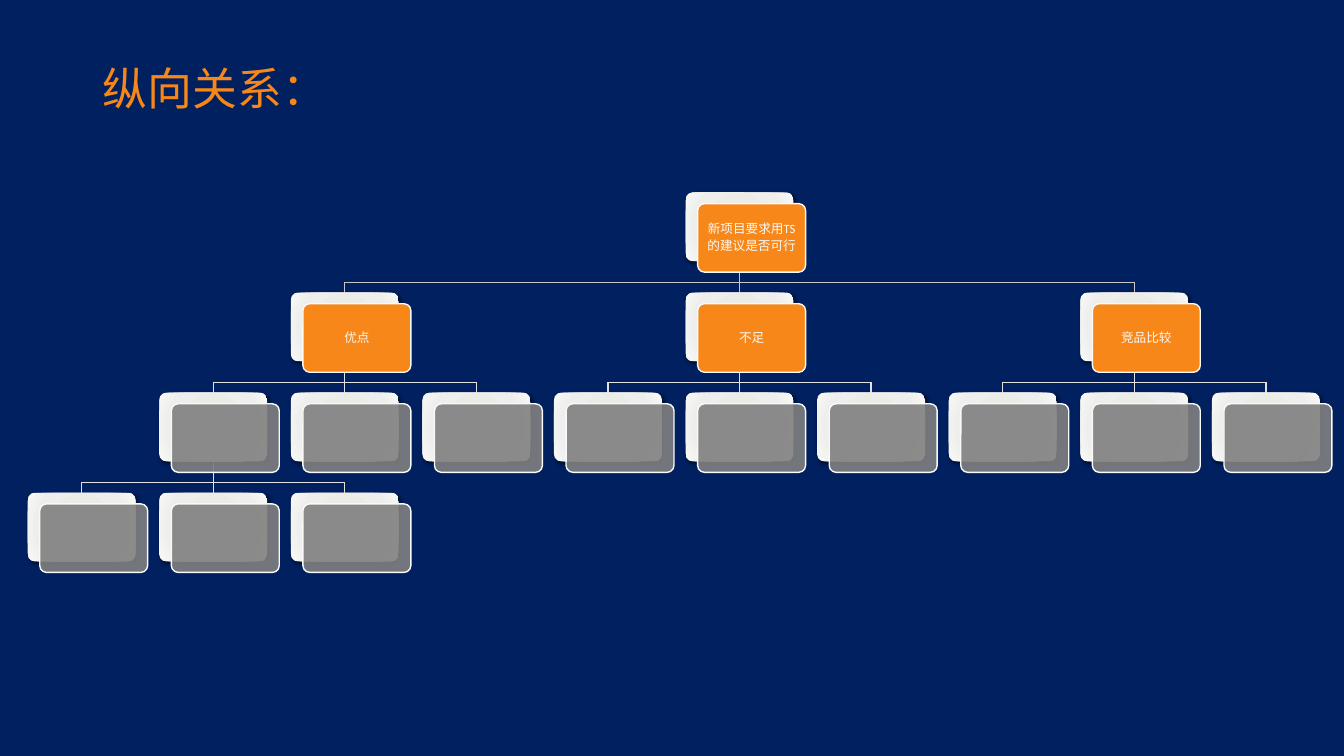
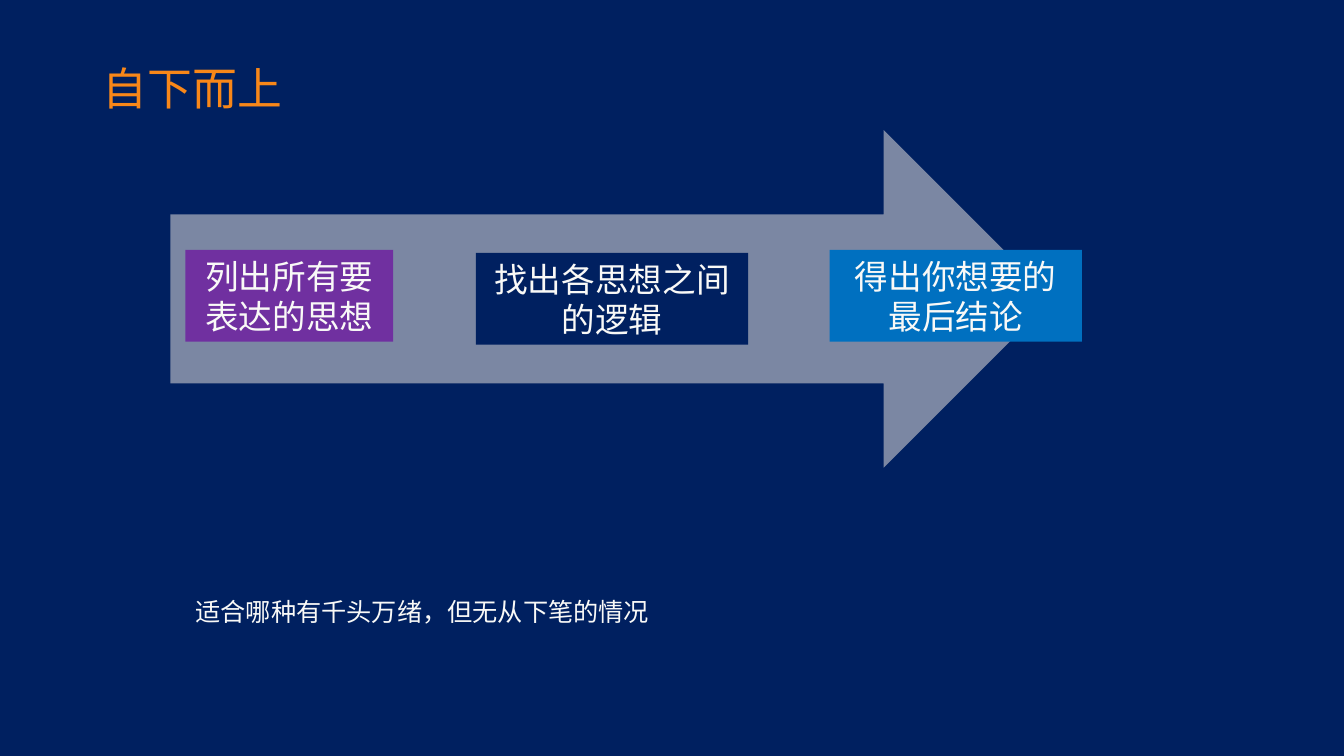
import pptx
import pptx.dml.color
import pptx.enum.shapes
import pptx.enum.text
import pptx.oxml
import pptx.oxml.ns
import pptx.util
from lxml import etree

Inches = pptx.util.Inches
Pt = pptx.util.Pt
Shapes = pptx.enum.shapes.MSO_SHAPE
Align = pptx.enum.text.PP_ALIGN
Anchor = pptx.enum.text.MSO_ANCHOR
qn = pptx.oxml.ns.qn

FONT = "Calibri"
NAVY = "002060"
ORANGE = "F88719"
LIGHT = "F9F9F7"
GREY = "808080"
TOP_LINE = "C7C7C6"
LOWER_LINE = "E2E2E0"

CARD_WIDTH, CARD_HEIGHT = 1.07, 0.68
FIRST_CENTRE, COLUMN_PITCH = 0.81, 1.305
FIRST_TOP, ROW_PITCH = 1.91, 0.993
FRONT_SHIFT_X, FRONT_SHIFT_Y = 0.12, 0.11
BUS_DROP = 0.21

TREE = (4.99, 0)
BACK_STOPS = [(0, "E8E8E6"), (34, "EBEBE8"), (70, "EEEEEC"), (100, LIGHT)]

CARDS = [
    (0, 5, ["新项目要求用TS", "的建议是否可行"]),
    (1, 2, ["优点"]),
    (1, 5, ["不足"]),
    (1, 8, ["竞品比较"]),
    *[(2, column, []) for column in range(1, 10)],
    *[(3, column, []) for column in range(3)],
]
BRANCHES = [
    (0, 5, 3, TOP_LINE),
    (1, 2, 1, LOWER_LINE),
    (1, 5, 1, LOWER_LINE),
    (1, 8, 1, LOWER_LINE),
    (2, 1, 1, LOWER_LINE),
]
STEPS = [
    ("列出所有要表达的思想", 1.84, 2.48, 2.06, "7030A0"),
    ("找出各思想之间的逻辑", 4.72, 2.51, 2.7, NAVY),
    ("得出你想要的最后结论", 8.23, 2.48, 2.5, "0070C0"),
]


def colour(value):
    return pptx.dml.color.RGBColor.from_string(value)


def style(paragraph, size, value, align=Align.LEFT):
    paragraph.font.name = FONT
    paragraph.font.size = Pt(size)
    paragraph.font.color.rgb = colour(value)
    paragraph.alignment = align


def prepare_layout(deck):
    layout = deck.slide_layouts.get_by_name("Title Only")
    layout.background.fill.solid()
    layout.background.fill.fore_color.rgb = colour(NAVY)
    heading = layout.placeholders[0]
    heading.left, heading.top = Inches(0.92), Inches(0.55)
    heading.width, heading.height = Inches(11.5), Inches(0.64)
    return layout


def add_titled_slide(deck, layout, title):
    slide = deck.slides.add_slide(layout)
    slide.shapes.title.text = title
    style(slide.shapes.title.text_frame.paragraphs[0], 32, ORANGE)
    return slide


def add_filled(slide, kind, left, top, width, height, fill, opacity=100):
    shape = slide.shapes.add_shape(
        kind, Inches(left), Inches(top), Inches(width), Inches(height))
    shape.shadow.inherit = False
    shape.line.fill.background()
    shape.fill.solid()
    shape.fill.fore_color.rgb = colour(fill)
    if opacity < 100:
        tint = shape.element.spPr.find(qn("a:solidFill"))[0]
        etree.SubElement(tint, qn("a:alpha"), val=str(opacity * 1000))
    return shape


def add_rounded(slide, left, top, fill, opacity=100):
    shape = add_filled(slide, Shapes.ROUNDED_RECTANGLE, left, top,
                       CARD_WIDTH, CARD_HEIGHT, fill, opacity)
    shape.adjustments[0] = 0.1
    return shape


def add_glow_and_shadow(shape):
    properties = shape.element.spPr
    stops = "".join(
        f'<a:gs pos="{position * 1000}"><a:srgbClr val="{value}"/></a:gs>'
        for position, value in BACK_STOPS)
    gradient = pptx.oxml.parse_xml(
        f'<a:gradFill {pptx.oxml.ns.nsdecls("a")}><a:gsLst>{stops}</a:gsLst>'
        '<a:path path="circle"><a:fillToRect l="100000" t="100000" '
        'r="100000" b="100000"/></a:path></a:gradFill>')
    properties.replace(properties.find(qn("a:solidFill")), gradient)
    shadow = etree.SubElement(
        properties.find(qn("a:effectLst")), qn("a:outerShdw"),
        blurRad=str(Pt(3)), dist=str(Pt(2)), dir=str(45 * 60000))
    black = etree.SubElement(shadow, qn("a:srgbClr"), val="000000")
    etree.SubElement(black, qn("a:alpha"), val="60000")


def add_line(slide, x1, y1, x2, y2, value):
    line = slide.shapes.add_connector(
        pptx.enum.shapes.MSO_CONNECTOR.STRAIGHT,
        Inches(x1), Inches(y1), Inches(x2), Inches(y2))
    line.line.color.rgb = colour(value)
    line.line.width = Pt(1)
    etree.SubElement(line.element.spPr, qn("a:effectLst"))


def centre_of(column):
    return FIRST_CENTRE + column * COLUMN_PITCH


def top_of(row):
    return FIRST_TOP + row * ROW_PITCH


def add_branch(slide, row, column, spread, value):
    start = top_of(row) + CARD_HEIGHT
    bus = start + BUS_DROP
    end = top_of(row + 1)
    left, middle, right = (
        centre_of(column + offset) for offset in (-spread, 0, spread))
    add_line(slide, middle, start, middle, end, value)
    add_line(slide, left, bus, right, bus, value)
    for child in (left, right):
        add_line(slide, child, bus, child, end, value)


def add_card(slide, row, column, lines):
    left, top = centre_of(column) - CARD_WIDTH / 2, top_of(row)
    add_glow_and_shadow(add_rounded(slide, left, top, LIGHT))
    fill, opacity = (ORANGE, 100) if lines else (GREY, 90)
    front = add_rounded(slide, left + FRONT_SHIFT_X, top + FRONT_SHIFT_Y,
                        fill, opacity)
    front.line.color.rgb = colour(LIGHT)
    front.line.width = Pt(1)
    if not lines:
        return
    frame = front.text_frame
    frame.margin_left = frame.margin_right = Inches(0.05)
    frame.margin_top = frame.margin_bottom = Inches(0.05)
    frame.vertical_anchor = Anchor.MIDDLE
    frame.text = "\n".join(lines)
    for paragraph in frame.paragraphs:
        style(paragraph, 9, LIGHT, Align.CENTER)
        paragraph.line_spacing = 0.9
        paragraph.space_after = Pt(3)


def add_step(slide, text, left, top, width, fill):
    step = add_filled(slide, Shapes.RECTANGLE, left, top, width, 0.91, fill)
    step.text_frame.word_wrap = True
    step.text_frame.text = text
    style(step.text_frame.paragraphs[0], 24, LIGHT, Align.CENTER)


def add_remark(slide, text, left, top, width, height):
    remark = slide.shapes.add_textbox(
        Inches(left), Inches(top), Inches(width), Inches(height))
    remark.text_frame.word_wrap = False
    remark.text_frame.text = text
    style(remark.text_frame.paragraphs[0], 18, LIGHT)


def build_vertical_relations(deck, layout):
    slide = add_titled_slide(deck, layout, "纵向关系：")
    for branch in BRANCHES:
        add_branch(slide, *branch)
    for card in CARDS:
        add_card(slide, *card)


def build_bottom_up(deck, layout):
    slide = add_titled_slide(deck, layout, "自下而上")
    add_filled(slide, Shapes.RIGHT_ARROW, 1.69, 1.29, 8.75, 3.35, "F7EFE6", 50)
    for step in STEPS:
        add_step(slide, *step)
    add_remark(slide, "适合哪种有千头万绪，但无从下笔的情况", 1.84, 5.87, 4.85, 0.4)


def main():
    deck = pptx.Presentation()
    deck.slide_width, deck.slide_height = Inches(13.33), Inches(7.5)
    layout = prepare_layout(deck)
    build_vertical_relations(deck, layout)
    build_bottom_up(deck, layout)
    deck.save("out.pptx")


if __name__ == "__main__":
    main()
